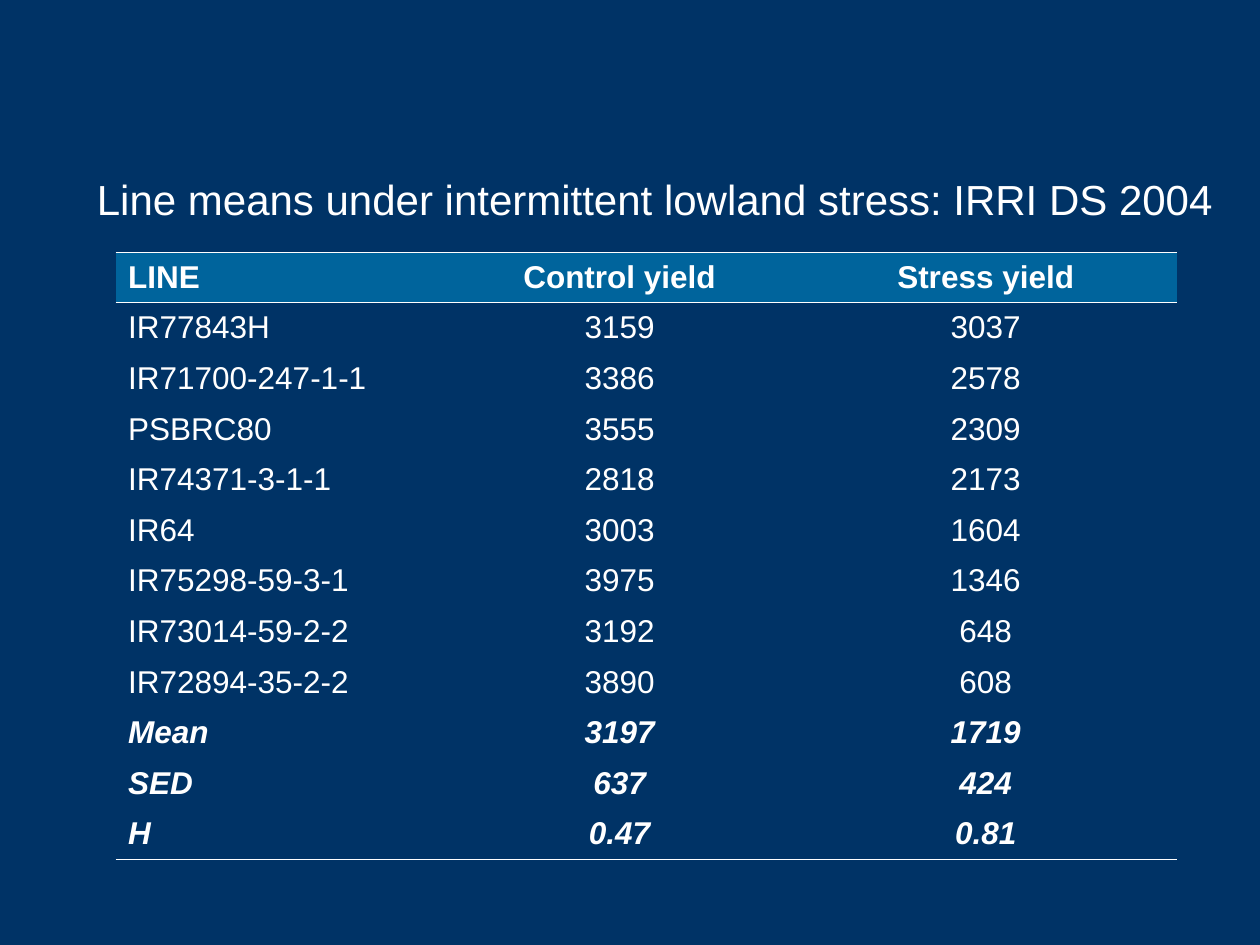
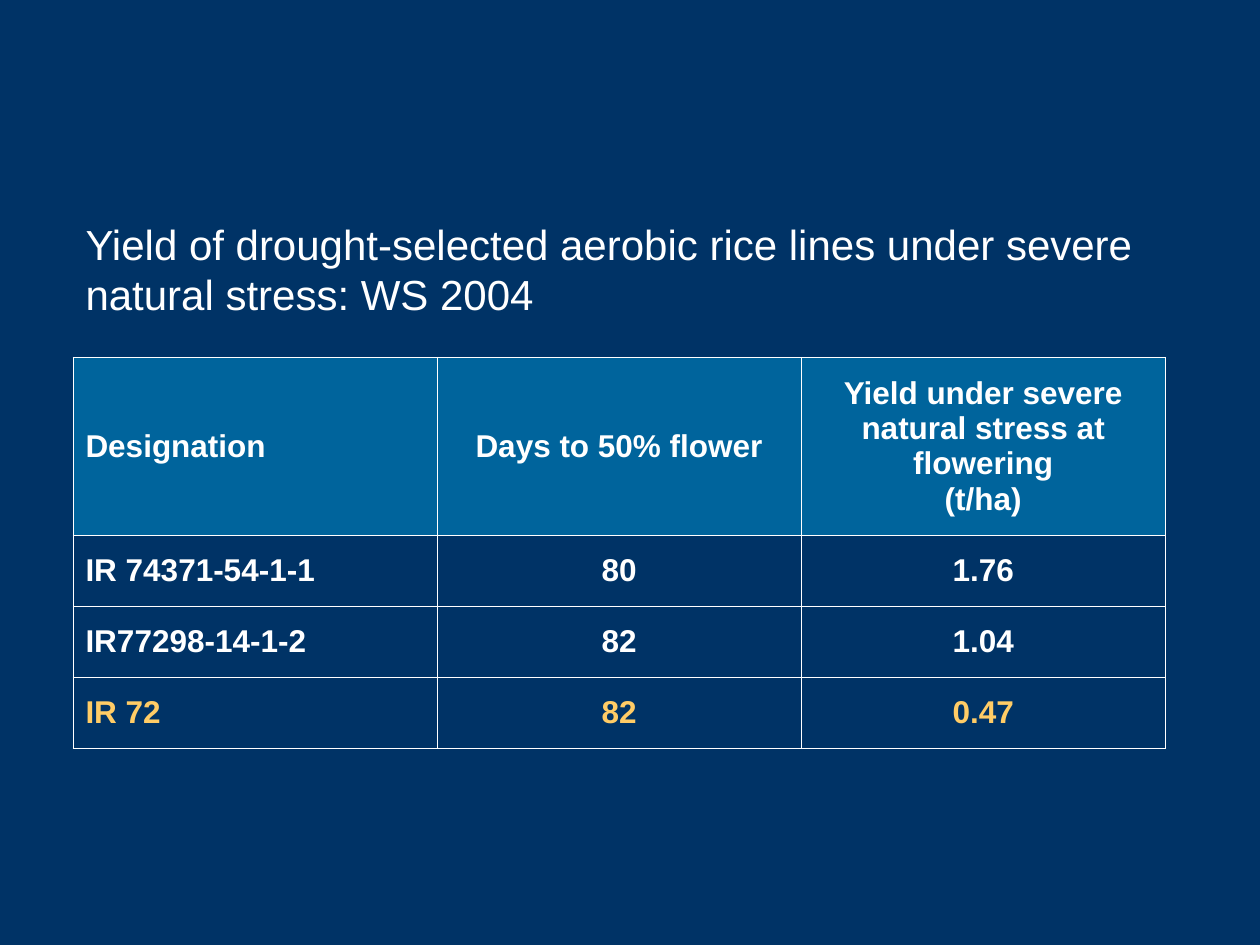
from dataclasses import dataclass
from typing import Callable

import lxml.etree
import pptx
import pptx.dml.color
import pptx.enum.text
import pptx.oxml.ns
import pptx.presentation
import pptx.slide
import pptx.table
import pptx.text.text
import pptx.util

Cm = pptx.util.Cm
Color = pptx.dml.color.RGBColor
Align = pptx.enum.text.PP_ALIGN
Anchor = pptx.enum.text.MSO_ANCHOR


@dataclass(frozen=True)
class Theme:
    background: Color = Color.from_string("003366")
    header: Color = Color.from_string("00649C")
    text: Color = Color.from_string("FFFFFF")
    accent: Color = Color.from_string("FFCC66")
    font: str = "Arial"
    title_size: int = 24
    table_size: int = 18
    rule_width: float = 0.45


THEME = Theme()
TITLE_ONLY = 5
NO_STYLE = "{2D5ABB26-0587-4C30-8999-92F81FD0307C}"
SIDES = "LRTB"


@dataclass(frozen=True)
class Area:
    """A place on the page, in centimetres."""
    left: float
    top: float
    width: float
    height: float

    def lengths(self) -> list[pptx.util.Length]:
        return [Cm(value) for value in (self.left, self.top, self.width, self.height)]


@dataclass(frozen=True)
class Row:
    cells: tuple[str, ...]
    height: float
    bold: bool = False
    italic: bool = False
    color: Color = THEME.text


@dataclass(frozen=True)
class TablePage:
    title: str
    title_area: Area
    left: float
    top: float
    widths: tuple[float, ...]
    rows: list[Row]
    sides_ruled: Callable[[int, int], str]


def set_values(target: object, values: dict[str, object]) -> None:
    for name, value in values.items():
        setattr(target, name, value)


def format_font(font: pptx.text.text.Font, size: int, color: Color,
                bold: bool = False, italic: bool = False) -> None:
    set_values(font, {"name": THEME.font, "size": pptx.util.Pt(size),
                      "bold": bold, "italic": italic})
    font.color.rgb = color


def rule_cell(cell: pptx.table._Cell, ruled: str) -> None:
    """Draw the ruled sides of a cell and clear its other sides."""
    qn = pptx.oxml.ns.qn
    properties = cell._tc.get_or_add_tcPr()
    for side in SIDES:
        line = lxml.etree.SubElement(properties, qn(f"a:ln{side}"))
        if side in ruled:
            line.set("w", str(int(pptx.util.Pt(THEME.rule_width))))
            fill = lxml.etree.SubElement(line, qn("a:solidFill"))
            lxml.etree.SubElement(fill, qn("a:srgbClr"), val=str(THEME.text))
        else:
            lxml.etree.SubElement(line, qn("a:noFill"))


def fill_cell(cell: pptx.table._Cell, row: Row, column: int, is_header: bool) -> None:
    if is_header:
        cell.fill.solid()
        cell.fill.fore_color.rgb = THEME.header
    else:
        cell.fill.background()
    cell.vertical_anchor = Anchor.MIDDLE
    cell.text_frame.text = row.cells[column]
    for para in cell.text_frame.paragraphs:
        para.alignment = Align.CENTER if column else Align.LEFT
        for span in para.runs:
            format_font(span.font, THEME.table_size, row.color, row.bold, row.italic)


def add_title(page: pptx.slide.Slide, text: str, area: Area) -> None:
    box = page.shapes.title
    set_values(box, dict(zip(("left", "top", "width", "height"), area.lengths())))
    frame = box.text_frame
    set_values(frame, {"text": text, "word_wrap": True, "vertical_anchor": Anchor.TOP,
                       "auto_size": pptx.enum.text.MSO_AUTO_SIZE.NONE})
    para = frame.paragraphs[0]
    para.alignment = Align.LEFT
    format_font(para.runs[0].font, THEME.title_size, THEME.text)


def add_grid(page: pptx.slide.Slide, content: TablePage) -> None:
    area = Area(content.left, content.top, sum(content.widths),
                sum(row.height for row in content.rows))
    table = page.shapes.add_table(len(content.rows), len(content.widths),
                                  *area.lengths()).table
    table.horz_banding = False
    table._tbl.tblPr.find(pptx.oxml.ns.qn("a:tableStyleId")).text = NO_STYLE
    for column, width in zip(table.columns, content.widths):
        column.width = Cm(width)
    for index, row in enumerate(content.rows):
        table.rows[index].height = Cm(row.height)
        for column in range(len(content.widths)):
            cell = table.cell(index, column)
            rule_cell(cell, content.sides_ruled(index, len(content.rows)))
            fill_cell(cell, row, column, is_header=index == 0)


def rule_header_and_foot(index: int, count: int) -> str:
    return {0: "TB", 1: "T", count - 1: "B"}.get(index, "")


def rule_all(index: int, count: int) -> str:
    return SIDES


def line_means() -> TablePage:
    height = 1.02
    lines = [
        ("IR77843H", "3159", "3037"),
        ("IR71700-247-1-1", "3386", "2578"),
        ("PSBRC80", "3555", "2309"),
        ("IR74371-3-1-1", "2818", "2173"),
        ("IR64", "3003", "1604"),
        ("IR75298-59-3-1", "3975", "1346"),
        ("IR73014-59-2-2", "3192", "648"),
        ("IR72894-35-2-2", "3890", "608"),
    ]
    statistics = [("Mean", "3197", "1719"), ("SED", "637", "424"), ("H", "0.47", "0.81")]
    return TablePage(
        title="Line means under intermittent lowland stress: IRRI DS 2004",
        title_area=Area(1.7, 3.38, 23.06, 1.27),
        left=2.33, top=5.08, widths=(6.63, 7.06, 7.7),
        rows=[Row(("LINE", "Control yield", "Stress yield"), height, bold=True),
              *(Row(cells, height) for cells in lines),
              *(Row(cells, height, bold=True, italic=True) for cells in statistics)],
        sides_ruled=rule_header_and_foot)


def severe_stress_yield() -> TablePage:
    height = 1.43
    header = ("Designation", "Days to 50% flower",
              "Yield under severe natural stress at flowering\n(t/ha)")
    return TablePage(
        title="Yield of drought-selected aerobic rice lines under severe "
              "natural stress: WS 2004",
        title_area=Area(1.47, 4.27, 22.86, 2.29),
        left=1.47, top=7.2, widths=(7.34,) * 3,
        rows=[Row(header, 3.59, bold=True),
              Row(("IR 74371-54-1-1", "80", "1.76"), height, bold=True),
              Row(("IR77298-14-1-2", "82", "1.04"), height, bold=True),
              Row(("IR 72", "82", "0.47"), height, bold=True, color=THEME.accent)],
        sides_ruled=rule_all)


def add_page(deck: pptx.presentation.Presentation, content: TablePage) -> None:
    page = deck.slides.add_slide(deck.slide_layouts[TITLE_ONLY])
    add_title(page, content.title, content.title_area)
    add_grid(page, content)


def main() -> None:
    deck = pptx.Presentation()
    set_values(deck, {"slide_width": Cm(25.4), "slide_height": Cm(19.05)})
    fill = deck.slide_master.background.fill
    fill.solid()
    fill.fore_color.rgb = THEME.background
    for content in (line_means(), severe_stress_yield()):
        add_page(deck, content)
    deck.save("out.pptx")


if __name__ == "__main__":
    main()
